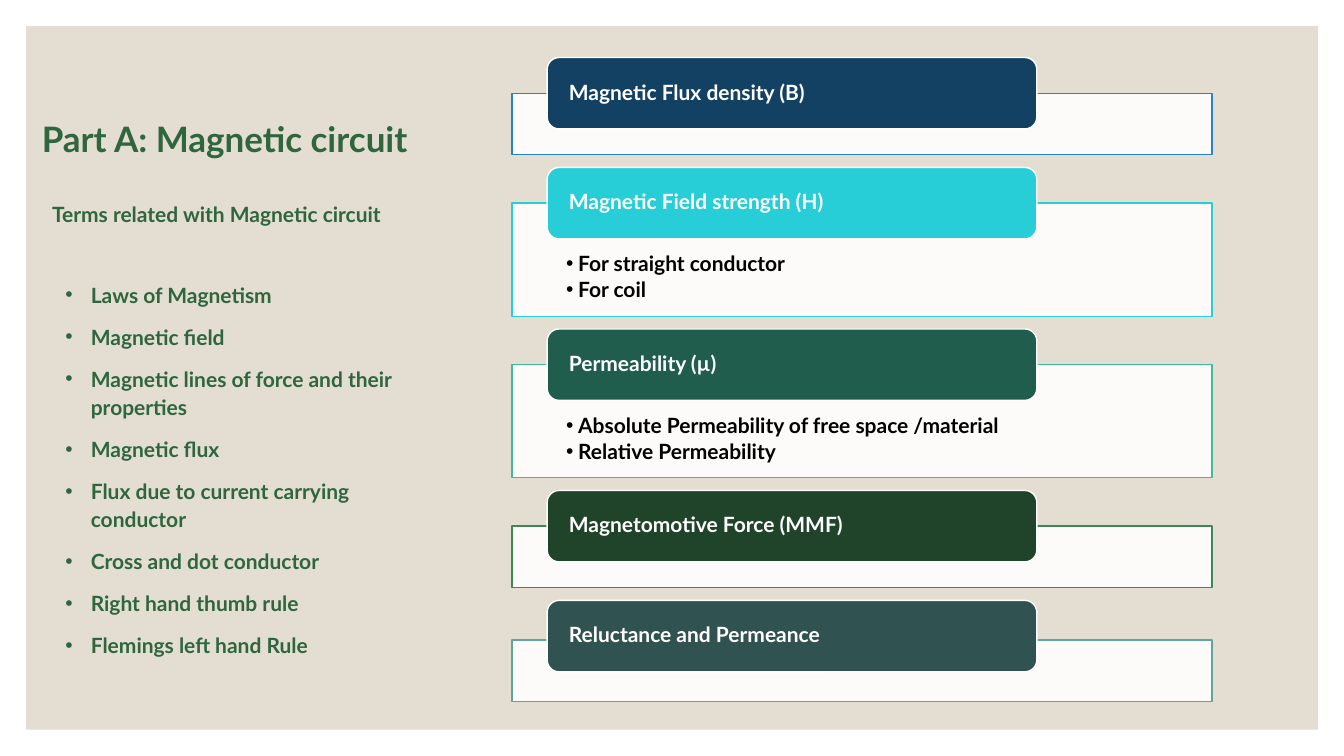
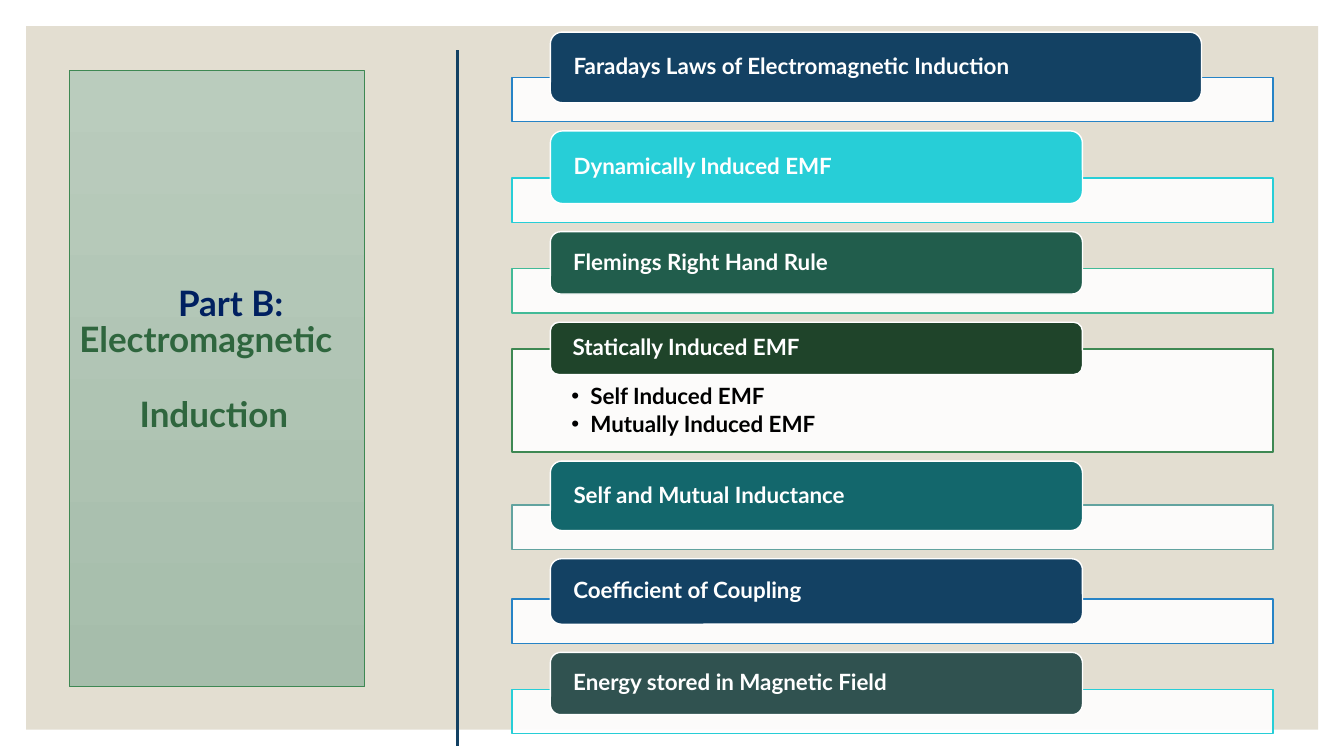
from dataclasses import dataclass

from lxml.etree import SubElement
from pptx import Presentation
from pptx.dml.color import RGBColor
from pptx.enum.shapes import MSO_CONNECTOR, MSO_SHAPE
from pptx.enum.text import MSO_ANCHOR, MSO_AUTO_SIZE, PP_ALIGN
from pptx.oxml.ns import qn
from pptx.util import Cm, Pt

FONT = "Lato"
WHITE, BLACK = "FFFFFF", "000000"
SAND, LEAF, NAVY = "E3DED1", "2F663E", "002060"
OCEAN, AQUA, PINE, FOREST, SLATE, TEAL = (
    "134163", "27CED7", "215D4C", "1F442A", "305250", "13676C")
BLUE_EDGE, AQUA_EDGE, MINT_EDGE, GREEN_EDGE, GREY_EDGE = (
    "2683C6", "27CED7", "42BA97", "3E8853", "62A39F")
HEADING_SIZE = 25
BODY_LEFT = 12.9


@dataclass
class Card:
    """A coloured header over a white body, with sizes in centimetres."""
    heading: str
    fill: str
    edge: str
    header_height: float
    body_height: float
    points: tuple = ()
    header_width: float = 0
    drop: float = 0


@dataclass
class Stack:
    """The measures that all cards of one slide share, in centimetres."""
    top: float
    gap: float
    overlap: float
    body_width: float
    header_left: float
    header_width: float
    header_inset: float
    body_insets: tuple
    hang: float
    size: int


def colour(code):
    """Turn a hex string into a colour."""
    return RGBColor.from_string(code)


def place(shape, left, top, width, height):
    """Move and size a shape in centimetres."""
    shape.left, shape.top = Cm(left), Cm(top)
    shape.width, shape.height = Cm(width), Cm(height)


def add_bullet(para, hang):
    """Give a paragraph a round bullet with a hanging indent."""
    properties = para._p.get_or_add_pPr()
    properties.set("marL", str(Cm(hang)))
    properties.set("indent", str(-Cm(hang)))
    SubElement(properties, qn("a:buFont"), typeface="Arial")
    SubElement(properties, qn("a:buChar"), char="•")


def write(box, lines, size, code, align=PP_ALIGN.LEFT, anchor=MSO_ANCHOR.TOP,
          insets=(0.25, 0.13, 0.25, 0.13), spacing=None, before=0, after=0, hang=0):
    """Fill a shape with bold paragraphs in one format."""
    frame = box.text_frame
    frame.word_wrap = True
    frame.auto_size = MSO_AUTO_SIZE.NONE
    frame.vertical_anchor = anchor
    frame.margin_left, frame.margin_top, frame.margin_right, frame.margin_bottom = map(Cm, insets)
    for index, line in enumerate(lines):
        para = frame.add_paragraph() if index else frame.paragraphs[0]
        if hang:
            add_bullet(para, hang)
        para.alignment = align
        para.line_spacing = spacing
        para.space_before = Pt(before if index else 0)
        para.space_after = Pt(after)
        span = para.add_run()
        span.text = line
        span.font.name, span.font.size, span.font.bold = FONT, Pt(size), True
        span.font.color.rgb = colour(code)


def add_text(page, lines, left, top, width, height, **text_format):
    """Add a text box."""
    box = page.shapes.add_textbox(Cm(left), Cm(top), Cm(width), Cm(height))
    write(box, lines, **text_format)


def add_block(page, kind, left, top, width, height, fill, edge=None, opacity=100):
    """Add a filled preset shape, with an outline if an edge is given."""
    block = page.shapes.add_shape(kind, Cm(left), Cm(top), Cm(width), Cm(height))
    block.shadow.inherit = False
    block.fill.solid()
    block.fill.fore_color.rgb = colour(fill)
    if opacity < 100:
        tint = block.element.spPr.find(qn("a:solidFill"))[0]
        SubElement(tint, qn("a:alpha"), val=str(opacity * 1000))
    if edge:
        block.line.color.rgb = colour(edge)
        block.line.width = Pt(1)
    else:
        block.line.fill.background()
    return block


def add_rule(page, x, top, bottom, code):
    """Add a vertical line."""
    rule = page.shapes.add_connector(MSO_CONNECTOR.STRAIGHT, Cm(x), Cm(top), Cm(x), Cm(bottom))
    rule.line.color.rgb = colour(code)
    rule.line.width = Pt(2)
    SubElement(rule.element.spPr, qn("a:effectLst"))


def add_cards(page, stack, cards):
    """Stack cards downwards, each header overlapping its body."""
    top = stack.top
    for card in cards:
        body_top = top + card.header_height - stack.overlap + card.drop
        body = add_block(page, MSO_SHAPE.RECTANGLE, BODY_LEFT, body_top, stack.body_width,
                         card.body_height, WHITE, card.edge, opacity=90)
        if card.points:
            write(body, card.points, stack.size, BLACK, insets=stack.body_insets,
                  spacing=0.9, after=0.15 * stack.size, hang=stack.hang)
        header = add_block(page, MSO_SHAPE.ROUNDED_RECTANGLE, stack.header_left, top,
                           card.header_width or stack.header_width, card.header_height,
                           card.fill, WHITE)
        write(header, [card.heading], stack.size, WHITE, anchor=MSO_ANCHOR.MIDDLE,
              insets=(stack.header_inset, 0, stack.header_inset, 0), spacing=0.9)
        top = body_top + card.body_height + stack.gap


def add_backdrop(page):
    """Put the sand panel on the layout, behind its placeholders."""
    panel = add_block(page, MSO_SHAPE.RECTANGLE, 0.66, 0.66, 32.56, 17.73, SAND)
    page.slide_layout.shapes.element.insert(2, panel.element)


def build_magnetic_circuit(page):
    """Build the slide on magnetic circuits."""
    title = page.shapes.title
    place(title, 0.71, 4.17, 9.5, 2.11)
    write(title, ["Terms related with Magnetic circuit"], 15, LEAF, align=PP_ALIGN.CENTER,
          anchor=MSO_ANCHOR.MIDDLE, spacing=Pt(28))
    add_text(page, ["Part A: Magnetic circuit"], 0.67, 2.82, 9.98, 1.32,
             size=HEADING_SIZE, code=LEAF, align=PP_ALIGN.CENTER)
    topics = [
        "Laws of Magnetism", "Magnetic field", "Magnetic lines of force and their properties",
        "Magnetic flux", "Flux due to current carrying conductor", "Cross and dot conductor",
        "Right hand thumb rule", "Flemings left hand Rule"]
    add_text(page, topics, 1.4, 6.91, 10.19, 9.88, size=15, code=LEAF,
             spacing=Pt(20), before=10, hang=0.64)
    stack = Stack(top=1.45, gap=0.32, overlap=0.9, body_width=17.65, header_left=13.79,
                  header_width=12.34, header_inset=0.46,
                  body_insets=(1.37, 1.27, 1.37, 0.3), hang=0.3, size=15)
    add_cards(page, stack, [
        Card("Magnetic Flux density (B)", OCEAN, BLUE_EDGE, 1.8, 1.55),
        Card("Magnetic Field strength (H)", AQUA, AQUA_EDGE, 1.8, 2.85,
             ("For straight conductor", "For coil")),
        Card("Permeability (µ)", PINE, MINT_EDGE, 1.8, 2.85,
             ("Absolute Permeability of free space /material", "Relative Permeability")),
        Card("Magnetomotive Force (MMF)", FOREST, GREEN_EDGE, 1.8, 1.55),
        Card("Reluctance and Permeance", SLATE, GREY_EDGE, 1.8, 1.55, drop=0.1)])


def build_induction(page):
    """Build the slide on electromagnetic induction."""
    title = page.shapes.title
    place(title, 1.75, 1.78, 7.44, 15.52)
    title.fill.gradient()
    title.fill.gradient_angle = 270
    for stop, code in zip(title.fill.gradient_stops, ("BACCBD", "A6BDAB")):
        stop.color.rgb = colour(code)
    title.line.color.rgb = colour(GREEN_EDGE)
    title.line.width = Pt(0.5)
    write(title, ["Electromagnetic", "Induction"], HEADING_SIZE, LEAF,
          anchor=MSO_ANCHOR.MIDDLE, spacing=0.9, before=27)
    second_line = title.text_frame.paragraphs[1]
    second_line._p.get_or_add_pPr().set("marL", str(Cm(1.52)))
    stack = Stack(top=0.81, gap=0.23, overlap=0.64, body_width=19.18, header_left=13.87,
                  header_width=13.41, header_inset=0.5,
                  body_insets=(1.5, 0.91, 1.5, 0.3), hang=0.48, size=16)
    add_cards(page, stack, [
        Card("Faradays Laws of Electromagnetic Induction", OCEAN, BLUE_EDGE, 1.78, 1.12,
             header_width=16.41),
        Card("Dynamically Induced EMF", AQUA, AQUA_EDGE, 1.83, 1.12),
        Card("Flemings Right Hand Rule", PINE, MINT_EDGE, 1.57, 1.12),
        Card("Statically Induced EMF", FOREST, GREEN_EDGE, 1.32, 2.59,
             ("Self Induced EMF", "Mutually Induced EMF")),
        Card("Self and Mutual Inductance", TEAL, GREY_EDGE, 1.75, 1.12),
        Card("Coefficient of Coupling", OCEAN, BLUE_EDGE, 1.65, 1.12),
        Card("Energy stored in Magnetic Field", SLATE, AQUA_EDGE, 1.57, 1.12)])
    add_rule(page, 11.53, 1.27, 18.8, OCEAN)
    add_text(page, ["Part B:"], 4.01, 6.96, 3.61, 1.32,
             size=HEADING_SIZE, code=NAVY, align=PP_ALIGN.CENTER)


def main():
    """Build and save the deck."""
    deck = Presentation()
    deck.slide_width, deck.slide_height = Cm(33.87), Cm(19.05)
    title_only = deck.slide_layouts[5]
    circuit_page = deck.slides.add_slide(title_only)
    add_backdrop(circuit_page)
    build_magnetic_circuit(circuit_page)
    build_induction(deck.slides.add_slide(title_only))
    deck.save("out.pptx")


if __name__ == "__main__":
    main()
